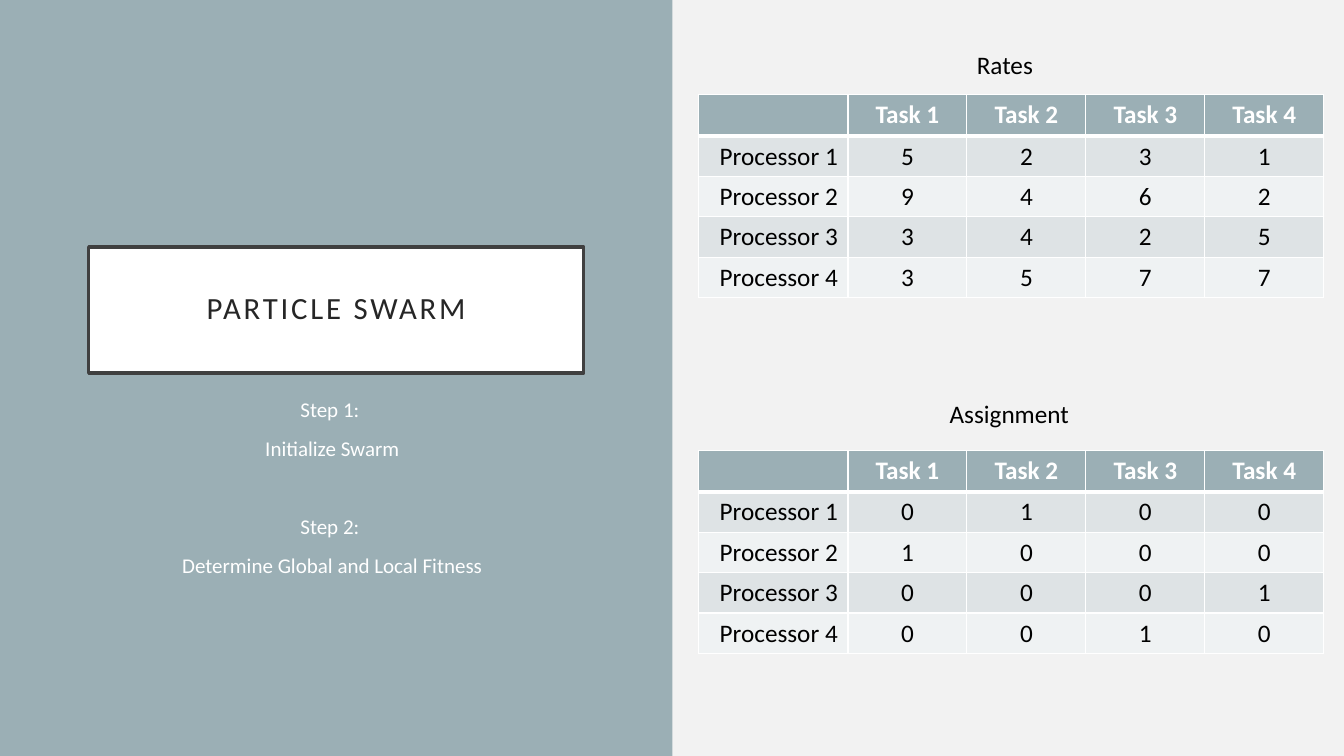
import pptx
import pptx.util
import pptx.dml.color
import pptx.enum.shapes
import pptx.enum.text
import pptx.oxml
import pptx.oxml.ns

Inches, Pt = pptx.util.Inches, pptx.util.Pt
ALIGN = pptx.enum.text.PP_ALIGN
ANCHOR = pptx.enum.text.MSO_ANCHOR
RECTANGLE = pptx.enum.shapes.MSO_SHAPE.RECTANGLE
COLORS = {
    "background": "F2F2F2", "panel": "9BAFB5", "white": "FFFFFF",
    "frame": "404040", "title": "262626", "black": "000000",
    "odd row": "DEE3E5", "even row": "EFF2F3",
}


def rgb(name):
    return pptx.dml.color.RGBColor.from_string(COLORS[name])


def write(para, text, size, color, align=ALIGN.CENTER, bold=False):
    para.alignment = align
    span = para.add_run()
    span.text = text
    for key, value in {"name": "Calibri", "size": Pt(size), "bold": bold}.items():
        setattr(span.font, key, value)
    span.font.color.rgb = rgb(color)
    return span


deck = pptx.Presentation()
deck.slide_width, deck.slide_height = Inches(13.33), Inches(7.5)
page = deck.slides.add_slide(deck.slide_layouts[6])
page.background.fill.solid()
page.background.fill.fore_color.rgb = rgb("background")

# Left panel
panel = page.shapes.add_shape(RECTANGLE, 0, 0, Inches(6.67), Inches(7.5))
panel.shadow.inherit = False
panel.fill.solid()
panel.fill.fore_color.rgb = rgb("panel")
panel.line.fill.background()

# Framed title
title = page.shapes.add_shape(
    RECTANGLE, Inches(0.88), Inches(2.45), Inches(4.91), Inches(1.25))
title.shadow.inherit = False
title.fill.solid()
title.fill.fore_color.rgb = rgb("white")
title.line.color.rgb = rgb("frame")
title.line.width = Pt(2.5)
title_format = {"word_wrap": True, "vertical_anchor": ANCHOR.MIDDLE}
for side in ("left", "top", "right", "bottom"):
    title_format["margin_" + side] = Inches(0.2)
for key, value in title_format.items():
    setattr(title.text_frame, key, value)
title_para = title.text_frame.paragraphs[0]
title_para.line_spacing = 0.9
title_span = write(title_para, "PARTICLE SWARM", 22, "title")
title_span.font._element.set("spc", "200")

# Steps, with a wider gap before the second one
steps = page.shapes.add_textbox(
    Inches(1.22), Inches(3.88), Inches(4.15), Inches(3.36)).text_frame
steps.word_wrap = True
step_lines = [
    ("Step 1: ", 10), ("Initialize Swarm", 10),
    ("Step 2: ", 38), ("Determine Global and Local Fitness", 10),
]
for index, (text, gap) in enumerate(step_lines):
    para = steps.add_paragraph() if index else steps.paragraphs[0]
    para.space_before = Pt(gap)
    write(para, text, 15, "white")

# Captioned tables: caption, caption box (left, top, width), table top, values
tables = [
    ("Rates", (9.59, 0.44, 0.87), 0.94,
     [[5, 2, 3, 1], [9, 4, 6, 2], [3, 4, 2, 5], [3, 5, 7, 7]]),
    ("Assignment", (9.32, 3.9, 1.42), 4.47,
     [[0, 1, 0, 0], [1, 0, 0, 0], [0, 0, 0, 1], [0, 0, 1, 0]]),
]
for caption, (left, top, width), table_top, values in tables:
    box = page.shapes.add_textbox(
        Inches(left), Inches(top), Inches(width), Inches(0.4))
    write(box.text_frame.paragraphs[0], caption, 18, "black", ALIGN.LEFT)

    table = page.shapes.add_table(
        5, 5, Inches(6.93), Inches(table_top), Inches(6.2), Inches(2.01)).table
    for column, column_width in zip(table.columns, [1.48] + [1.18] * 4):
        column.width = Inches(column_width)
    for row, row_height in zip(table.rows, [0.41] + [0.4] * 4):
        row.height = Inches(row_height)

    rows = [[""] + [f"Task {n}" for n in range(1, 5)]]
    rows += [[f"Processor {n}"] + line for n, line in enumerate(values, 1)]
    for r, line in enumerate(rows):
        fill = "panel" if r == 0 else "odd row" if r % 2 else "even row"
        for c, value in enumerate(line):
            cell = table.cell(r, c)
            cell.fill.solid()
            cell.fill.fore_color.rgb = rgb(fill)
            if value != "":
                write(cell.text_frame.paragraphs[0], str(value), 18,
                      "black" if r else "white",
                      ALIGN.RIGHT if r and c == 0 else ALIGN.CENTER, r == 0)

            # White borders, thick below the header row
            weights = {"L": 1, "R": 1, "T": 3 if r == 1 else 1, "B": 1 if r else 3}
            for position, (side, weight) in enumerate(weights.items()):
                border = pptx.oxml.parse_xml(
                    f'<a:ln{side} {pptx.oxml.ns.nsdecls("a")} w="{Pt(weight)}">'
                    f'<a:solidFill><a:srgbClr val="{COLORS["white"]}"/></a:solidFill>'
                    f'</a:ln{side}>')
                cell._tc.get_or_add_tcPr().insert(position, border)

deck.save("out.pptx")
